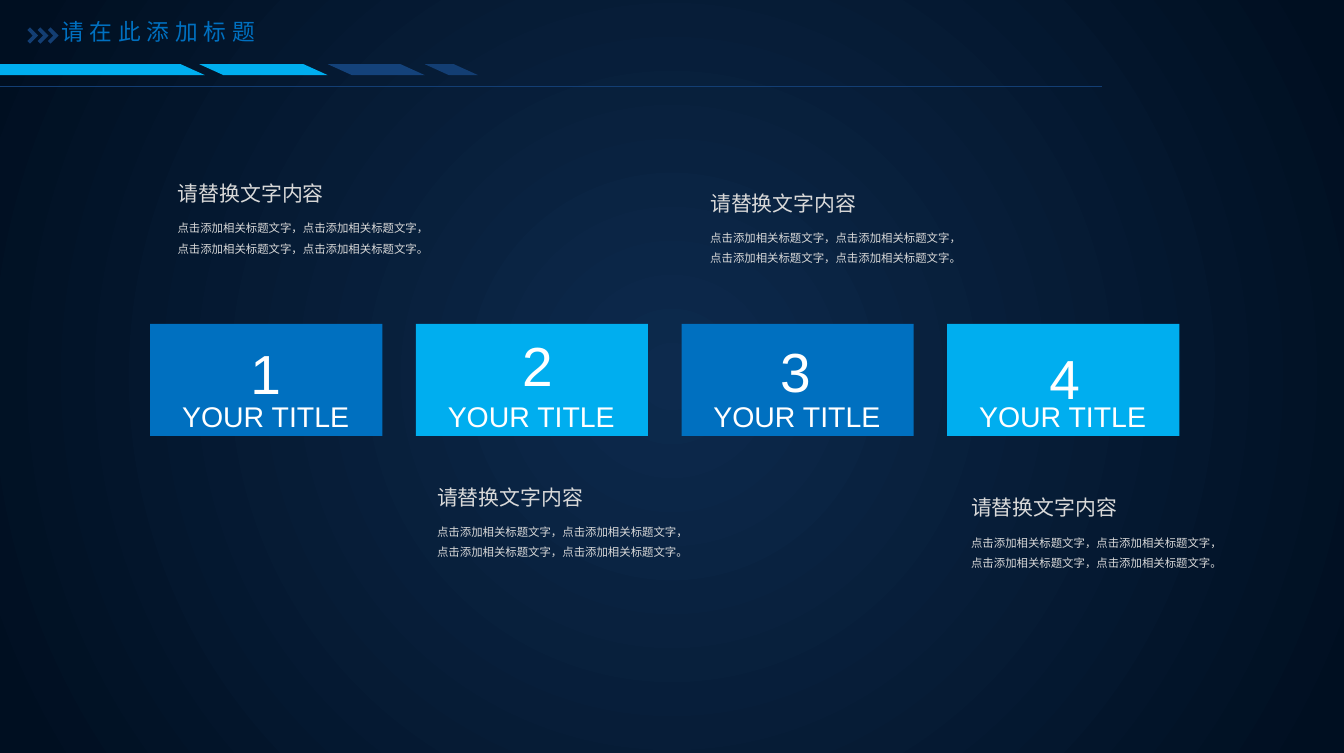
from dataclasses import dataclass

from lxml.etree import SubElement
from pptx import Presentation
from pptx.dml.color import RGBColor
from pptx.enum.shapes import MSO_CONNECTOR, MSO_SHAPE
from pptx.enum.text import MSO_ANCHOR, PP_ALIGN
from pptx.oxml.ns import qn
from pptx.util import Inches, Pt


@dataclass(frozen=True)
class Theme:
    glow: str = "0D2A4D"
    night: str = "000F21"
    blue: str = "0070C0"
    sky: str = "00AEEF"
    navy: str = "14427A"
    deep: str = "133E73"
    white: str = "FFFFFF"
    grey: str = "D9D9D9"
    latin: str = "Arial"
    heading_font: str = "Lato"
    cjk: str = "Noto Sans CJK SC"
    number_size: int = 29
    label_size: int = 15
    title_size: int = 12
    heading_size: int = 11
    body_size: int = 6


class Deck:
    def __init__(self, theme, width, height):
        self.theme = theme
        self.prs = Presentation()
        self.prs.slide_width, self.prs.slide_height = Inches(width), Inches(height)
        self.s = self.prs.slides.add_slide(self.prs.slide_layouts[5])

    def radial_background(self):
        fill = self.s.background.fill
        fill.gradient()
        stops = ((0, self.theme.glow), (0.97, self.theme.night))
        for stop, (position, color) in zip(fill.gradient_stops, stops):
            stop.position = position
            stop.color.rgb = RGBColor.from_string(color)
        grad = self.s._element.find(".//" + qn("a:gradFill"))
        grad.remove(grad.find(qn("a:lin")))
        centre = SubElement(grad, qn("a:path"), {"path": "circle"})
        SubElement(centre, qn("a:fillToRect"), dict.fromkeys("ltrb", "50000"))

    def paint(self, shape, color):
        shape.shadow.inherit = False
        shape.fill.solid()
        shape.fill.fore_color.rgb = RGBColor.from_string(color)
        shape.line.fill.background()
        return shape

    def shape(self, kind, x, y, w, h, color):
        sp = self.s.shapes.add_shape(kind, Inches(x), Inches(y), Inches(w), Inches(h))
        return self.paint(sp, color)

    def slanted_bar(self, x, w, color):
        sp = self.shape(MSO_SHAPE.PARALLELOGRAM, x, 0.47, w, 0.08, color)
        sp.adjustments[0] = 2.208
        sp._element.spPr.find(qn("a:xfrm")).set("flipV", "1")

    def chevron(self, x, y):
        outline = [(0, 0.02), (0.02, 0), (0.08, 0.06), (0.02, 0.12), (0, 0.1), (0.04, 0.06)]
        points = [(Inches(x + dx), Inches(y + dy)) for dx, dy in outline]
        builder = self.s.shapes.build_freeform(*points[0])
        builder.add_line_segments(points[1:], close=True)
        self.paint(builder.convert_to_shape(), self.theme.deep)

    def rule(self, x1, x2, y):
        line = self.s.shapes.add_connector(
            MSO_CONNECTOR.STRAIGHT, Inches(x1), Inches(y), Inches(x2), Inches(y))
        line.line.color.rgb = RGBColor.from_string(self.theme.deep)
        line.line.width = Pt(0.5)
        SubElement(line._element.spPr, qn("a:effectLst"))

    def set_text(self, sp, text, size, color, font, anchor=MSO_ANCHOR.TOP,
                 align=PP_ALIGN.LEFT, spacing=1.0, insets=(0.1, 0.05)):
        tf = sp.text_frame
        tf.word_wrap = True
        tf.vertical_anchor = anchor
        tf.margin_left = tf.margin_right = Inches(insets[0])
        tf.margin_top = tf.margin_bottom = Inches(insets[1])
        p = tf.paragraphs[0]
        p.text = text
        p.alignment, p.line_spacing = align, spacing
        p.font.size, p.font.name = Pt(size), font
        p.font.color.rgb = RGBColor.from_string(color)
        SubElement(p.font._element, qn("a:ea"), typeface=self.theme.cjk)
        return p

    def text(self, x, y, w, h, *args, **style):
        sp = self.s.shapes.add_textbox(Inches(x), Inches(y), Inches(w), Inches(h))
        self.set_text(sp, *args, **style)

    def title(self, text):
        t, sp = self.theme, self.s.shapes.title
        sp.left, sp.top, sp.width, sp.height = map(Inches, (0.35, 0.08, 1.67, 0.3))
        p = self.set_text(sp, text, t.title_size, t.blue, t.cjk)
        sp.text_frame.word_wrap = False
        p.font._element.set("spc", "300")

    def card(self, x, number, number_x, number_y, raised):
        """Numbered card; a raised one sets its text from the top."""
        t = self.theme
        self.shape(MSO_SHAPE.RECTANGLE, x, 2.37, 1.7, 0.82, t.sky if raised else t.blue)
        style = dict(align=PP_ALIGN.CENTER)
        if not raised:
            style.update(anchor=MSO_ANCHOR.MIDDLE, spacing=1.3, insets=(0.11, 0.05))
        self.text(x + 0.07, 2.87 if raised else 2.85, 1.55, 0.32,
                  "YOUR TITLE", t.label_size, t.white, t.latin, **style)
        self.text(number_x, number_y, 0.87, 0.56,
                  number, t.number_size, t.white, t.latin, **style)

    def blurb(self, x, y, heading, body):
        t = self.theme
        self.text(x, y, 2.03, 0.27, heading, t.heading_size, t.grey, t.heading_font,
                  anchor=MSO_ANCHOR.MIDDLE, insets=(0, 0.08))
        self.text(x, y + 0.29, 1.75, 0.44, body, t.body_size, t.grey, t.latin,
                  spacing=1.5, insets=(0, 0))


def main():
    theme = Theme()
    deck = Deck(theme, 9.84, 5.51)
    deck.radial_background()

    numbers = [(1.51, 2.37), (3.5, 2.38), (5.39, 2.36), (7.36, 2.47)]
    for i, (x, y) in enumerate(numbers):
        deck.card(1.1 + 1.945 * i, str(i + 1), x, y, raised=i % 2 == 1)

    body = "，".join(["点击添加相关标题文字"] * 4) + "。"
    for x, y in [(1.3, 1.28), (3.2, 3.5), (5.2, 1.35), (7.11, 3.58)]:
        deck.blurb(x, y, "请替换文字内容", body)

    bars = [(-1.61, 3.11, theme.sky), (1.46, 0.94, theme.sky),
            (2.4, 0.71, theme.navy), (3.11, 0.39, theme.deep)]
    for x, w, color in bars:
        deck.slanted_bar(x, w, color)
    deck.rule(-0.43, 8.07, 0.63)
    deck.title("请在此添加标题")
    for i in range(3):
        deck.chevron(0.2 + 0.075 * i, 0.2)

    deck.prs.save("out.pptx")


if __name__ == "__main__":
    main()
